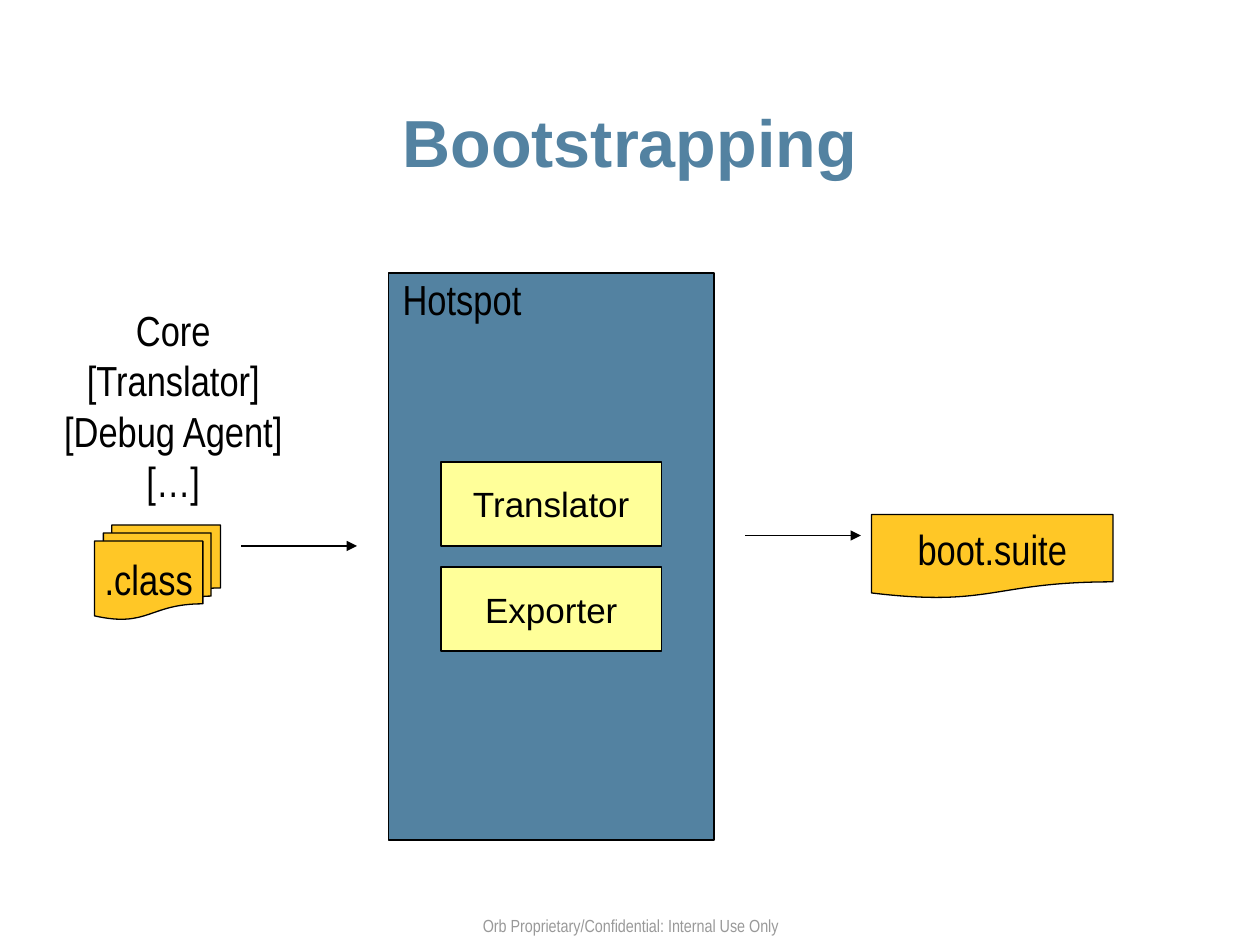
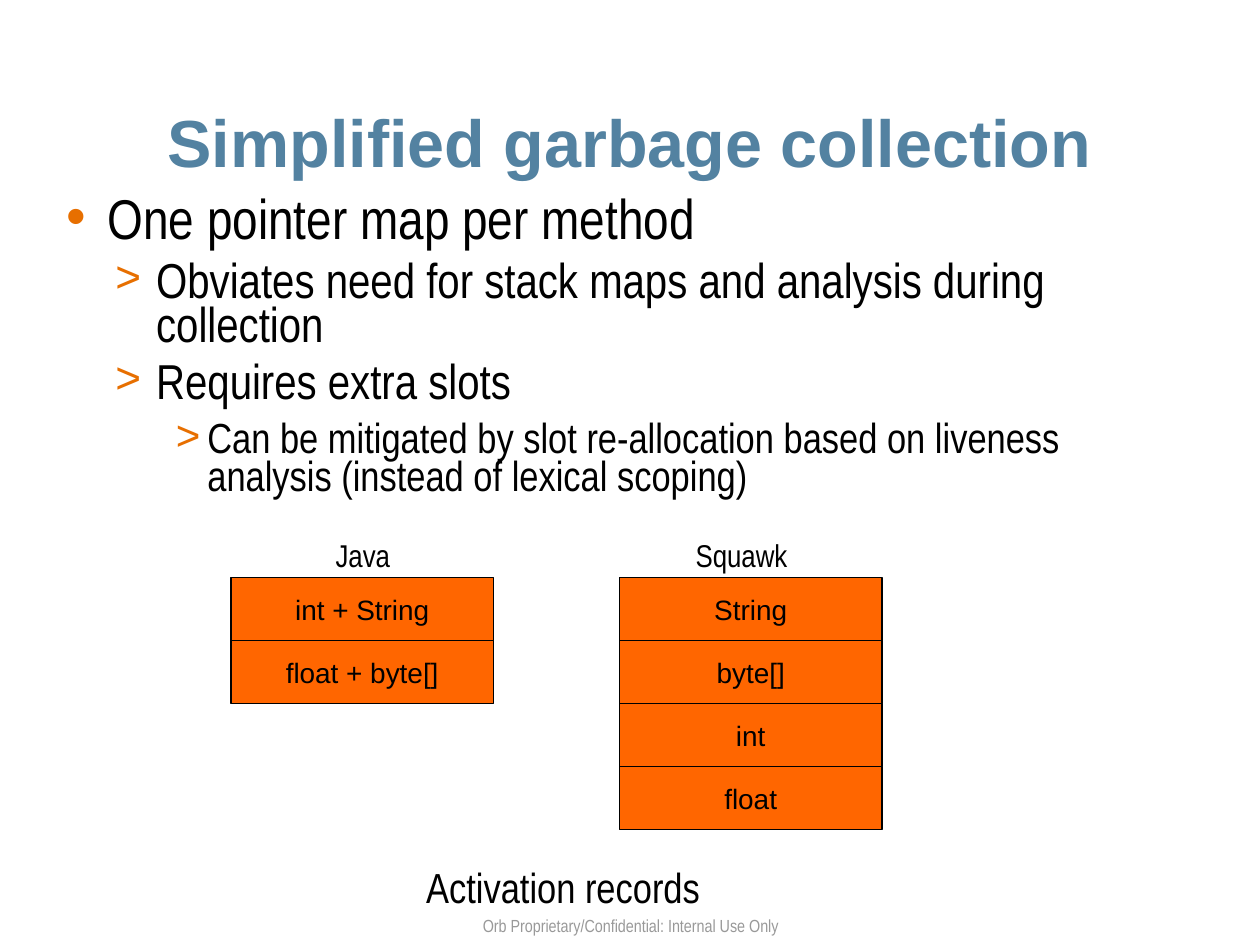
"""Builds two slides on bootstrapping and simplified garbage collection."""
from lxml import etree
from pptx import Presentation
from pptx import util as u
from pptx.dml.color import RGBColor
from pptx.enum import shapes as sh, text as tx
from pptx.oxml.ns import qn

PX = 9525
SANS, NARROW = "Arial", "Arial Narrow"
HUE = {
    "blue": "5382A1", "gold": "FFC726", "pale": "FFFF99", "orange": "FF6600",
    "bullet": "E76F00", "grey": "999999", "black": "000000",
}
KIND = sh.MSO_SHAPE
FOOTER = "Orb Proprietary/Confidential: Internal Use Only"
TITLES = ["Bootstrapping", "Simplified garbage collection"]

HOST = (296, 208, 248, 432)
FILES = [
    (KIND.FLOWCHART_MULTIDOCUMENT, ".class", (72, 400, 96, 72)),
    (KIND.FLOWCHART_DOCUMENT, "boot.suite", (664, 392, 184, 64)),
]
STAGES = ["Translator", "Exporter"]
ARROWS = [(184, 416), (568, 408)]
INPUTS = ["Core", "[Translator]", "[Debug Agent]", "[…]"]

POINTS = [
    (0, "One pointer map per method"),
    (1, "Obviates need for stack maps and analysis during collection"),
    (1, "Requires extra slots"),
    (2, "Can be mitigated by slot re-allocation based on liveness "
        "analysis (instead of lexical scoping)"),
]
LEVELS = [
    dict(size=32, left=42, hang=31, before=13, mark="•", scale=100),
    dict(size=28, left=79, hang=31, before=7.3, mark=">", scale=90),
    dict(size=24, left=118, hang=24, before=8.6, mark=">", scale=100),
]
RECORDS = [
    ("Java", (256, 408, 41, 29), 176, ["int + String", "float + byte[]"]),
    ("Squawk", (530, 408, 70, 29), 472, ["String", "byte[]", "int", "float"]),
]


def paint(hue):
    return RGBColor.from_string(HUE[hue])


def scale(box):
    return [n * PX for n in box]


def put(shape, box):
    shape.left, shape.top, shape.width, shape.height = scale(box)


def frame(shape, wrap, anchor):
    body = shape.text_frame
    body.auto_size = tx.MSO_AUTO_SIZE.NONE
    body.word_wrap = wrap
    body.vertical_anchor = anchor
    body.margin_left = body.margin_right = 0
    body.margin_top = body.margin_bottom = 0
    return body


def write(par, words, size, face=NARROW, hue="black", bold=False):
    run = par.add_run()
    run.text = words
    font = run.font
    font.size, font.name, font.bold = u.Pt(size), face, bold
    font.color.rgb = paint(hue)


def fill(shape, lines, size, face=NARROW, hue="black", bold=False, space=None,
         wrap=False, anchor=tx.MSO_ANCHOR.MIDDLE):
    body = frame(shape, wrap, anchor)
    for i, line in enumerate(lines):
        par = body.add_paragraph() if i else body.paragraphs[0]
        par.alignment = tx.PP_ALIGN.CENTER
        if space:
            par.line_spacing = space
        write(par, line, size, face, hue, bold)


def label(slide, lines, box, size, **style):
    shape = slide.shapes.add_textbox(*scale(box))
    fill(shape, lines, size, anchor=tx.MSO_ANCHOR.TOP, **style)


def block(slide, kind, box, hue, words=None, size=24, face=NARROW):
    shape = slide.shapes.add_shape(kind, *scale(box))
    shape.shadow.inherit = False
    shape.fill.solid()
    shape.fill.fore_color.rgb = paint(hue)
    shape.line.color.rgb = paint("black")
    shape.line.width = u.Pt(0.75)
    if words:
        fill(shape, [words], size, face)


def arrow(slide, x, y, reach=88):
    line = slide.shapes.add_connector(
        sh.MSO_CONNECTOR.STRAIGHT, *scale((x, y, x + reach, y)))
    line.line.color.rgb = paint("black")
    line.line.width = u.Pt(0.75)
    tip = etree.SubElement(line.line._get_or_add_ln(), qn("a:tailEnd"))
    tip.set("type", "triangle")
    etree.SubElement(line._element.spPr, qn("a:effectLst"))


def bullet(par, look):
    props = par._p.get_or_add_pPr()
    props.set("marL", str(look["left"] * PX))
    props.set("indent", str(-look["hang"] * PX))
    tint = etree.SubElement(props, qn("a:buClr"))
    etree.SubElement(tint, qn("a:srgbClr")).set("val", HUE["bullet"])
    ratio = etree.SubElement(props, qn("a:buSzPct"))
    ratio.set("val", str(look["scale"] * 1000))
    etree.SubElement(props, qn("a:buFont")).set("typeface", SANS)
    etree.SubElement(props, qn("a:buChar")).set("char", look["mark"])


def outline(shape):
    put(shape, (40, 152, 855, 228))
    body = frame(shape, True, tx.MSO_ANCHOR.TOP)
    for i, (level, words) in enumerate(POINTS):
        look = LEVELS[level]
        par = body.add_paragraph() if i else body.paragraphs[0]
        par.level = level
        bullet(par, look)
        par.line_spacing = 0.75
        par.space_before = u.Pt(look["before"] if i else 0)
        write(par, words, look["size"])


def start(deck, layout, title):
    slide = deck.slides.add_slide(deck.slide_layouts[layout])
    label(slide, [FOOTER], (295, 698, 371, 15), 10, hue="grey", space=0.98)
    head = slide.shapes.title
    put(head, (40, 79, 880, 66))
    fill(head, [title], 38, SANS, "blue", True, 0.84, wrap=True)
    return slide


def boot(deck):
    slide = start(deck, 5, TITLES[0])
    block(slide, KIND.RECTANGLE, HOST, "blue")
    label(slide, ["Hotspot"], (*HOST[:2], 112, 38), 24, wrap=True)
    for i, stage in enumerate(STAGES):
        block(slide, KIND.RECTANGLE, (336, 352 + 80 * i, 168, 64),
              "pale", stage, 20, SANS)
    for kind, name, box in FILES:
        block(slide, kind, box, "gold", name)
    for x, y in ARROWS:
        arrow(slide, x, y)
    label(slide, INPUTS, (48, 232, 168, 154), 24)


def collect(deck):
    slide = start(deck, 1, TITLES[1])
    outline(slide.placeholders[1])
    for name, box, left, slots in RECORDS:
        label(slide, [name], box, 18)
        for i, slot in enumerate(slots):
            block(slide, KIND.RECTANGLE, (left, 440 + 48 * i, 200, 48),
                  "orange", slot, 16, SANS)
    label(slide, ["Activation records"], (325, 656, 208, 38), 24)


def main():
    deck = Presentation()
    deck.slide_width, deck.slide_height = scale((960, 720))
    boot(deck)
    collect(deck)
    deck.save("out.pptx")


if __name__ == "__main__":
    main()
